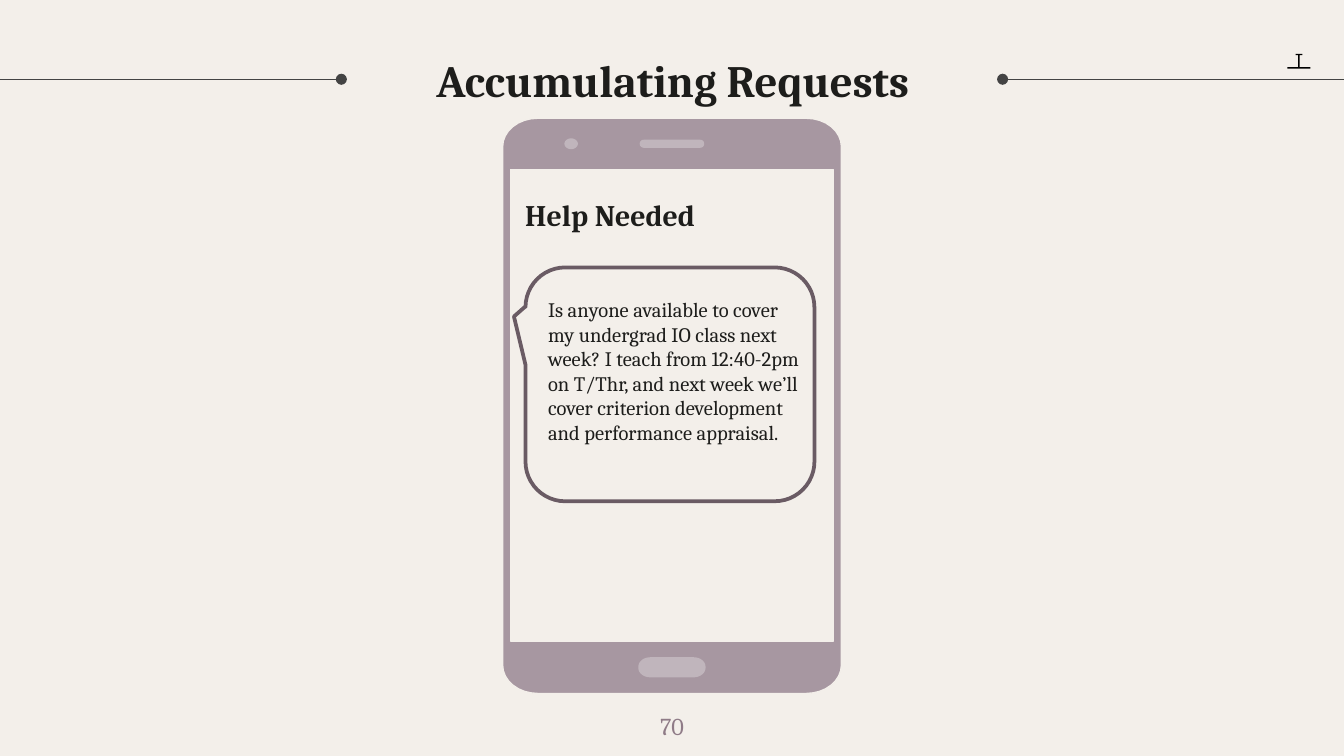
import math

from lxml import etree
from pptx import Presentation
from pptx.dml.color import RGBColor
from pptx.enum import shapes, text
from pptx.oxml import ns
from pptx.util import Inches, Pt

CREAM = RGBColor(0xF3, 0xEF, 0xEA)
INK = RGBColor(0x1D, 0x1D, 0x1B)
RULE_GREY = RGBColor(0x43, 0x43, 0x43)
MAUVE = RGBColor(0xA7, 0x97, 0xA1)
PALE_MAUVE = RGBColor(0xC0, 0xB5, 0xBC)
DARK_MAUVE = RGBColor(0x6A, 0x5B, 0x64)
NUMBER_MAUVE = RGBColor(0x8F, 0x7B, 0x87)
BLACK = RGBColor(0, 0, 0)
FONT = "Cambria"
QUOTE = (
    "Is anyone available to cover my undergrad IO class next week? "
    "I teach from 12:40-2pm on T/Thr, and next week we’ll cover "
    "criterion development and performance appraisal."
)


def place(item, left, top, width, height):
    item.left, item.top = Inches(left), Inches(top)
    item.width, item.height = Inches(width), Inches(height)


def write(item, words, size, color=INK, bold=False, align=text.PP_ALIGN.LEFT,
          anchor=text.MSO_ANCHOR.TOP, insets=(0.1, 0.1, 0.1, 0.1)):
    frame = item.text_frame
    frame.word_wrap = True
    frame.auto_size = text.MSO_AUTO_SIZE.NONE
    frame.vertical_anchor = anchor
    (frame.margin_left, frame.margin_top,
     frame.margin_right, frame.margin_bottom) = map(Inches, insets)
    paragraph = frame.paragraphs[0]
    paragraph.alignment = align
    run = paragraph.add_run()
    run.text = words
    run.font.name = FONT
    run.font.size = Pt(size)
    run.font.bold = bold
    run.font.color.rgb = color


def add_text(slide, box, words, size, **style):
    item = slide.shapes.add_textbox(*map(Inches, box))
    write(item, words, size, **style)


def add_dotted_rule(slide, start, end, y):
    rule = slide.shapes.add_connector(
        shapes.MSO_CONNECTOR.STRAIGHT,
        Inches(start), Inches(y), Inches(end), Inches(y))
    rule.line.color.rgb = RULE_GREY
    rule.line.width = Pt(0.75)
    etree.SubElement(rule.line._get_or_add_ln(), ns.qn("a:headEnd"), type="oval")
    etree.SubElement(rule._element.spPr, ns.qn("a:effectLst"))


def rounded_outline(left, top, width, height, rx, ry, steps=8):
    corners = [
        (left + width - rx, top + ry, -90),
        (left + width - rx, top + height - ry, 0),
        (left + rx, top + height - ry, 90),
        (left + rx, top + ry, 180),
    ]
    points = []
    for x, y, start in corners:
        for step in range(steps + 1):
            angle = math.radians(start + 90 * step / steps)
            points.append((x + rx * math.cos(angle), y + ry * math.sin(angle)))
    return points


def add_outline(slide, contours, fill, edge=None):
    contours = [[(Inches(x), Inches(y)) for x, y in contour] for contour in contours]
    builder = slide.shapes.build_freeform(*contours[0][0], scale=1.0)
    for index, contour in enumerate(contours):
        if index:
            builder.move_to(*contour[0])
        builder.add_line_segments(contour[1:], close=True)
    form = builder.convert_to_shape()
    form.shadow.inherit = False
    form.fill.solid()
    form.fill.fore_color.rgb = fill
    if edge is None:
        form.line.fill.background()
    else:
        form.line.color.rgb = edge
        form.line.width = Pt(0.75)


def add_phone(slide):
    body = rounded_outline(3.74, 0.88, 2.52, 4.28, 0.26, 0.21)
    screen = [(6.2, 1.26), (3.8, 1.26), (3.8, 4.77), (6.2, 4.77)]
    add_outline(slide, [body, screen], MAUVE, CREAM)
    home_button = (4.75, 4.89, 0.5, 0.15, 0.09, 0.07)
    camera = (4.2, 1.03, 0.1, 0.08, 0.05, 0.04)
    speaker = (4.76, 1.04, 0.48, 0.06, 0.03, 0.03)
    for part in (home_button, camera, speaker):
        add_outline(slide, [rounded_outline(*part)], PALE_MAUVE)


def add_speech_bubble(slide):
    bubble = slide.shapes.add_shape(
        shapes.MSO_SHAPE.ROUNDED_RECTANGULAR_CALLOUT,
        *map(Inches, (3.91, 1.99, 2.15, 1.74)))
    for index, value in enumerate((-0.54, -0.29, 0.17)):
        bubble.adjustments[index] = value
    bubble.shadow.inherit = False
    bubble.fill.background()
    bubble.line.color.rgb = DARK_MAUVE
    bubble.line.width = Pt(2)


def main():
    deck = Presentation()
    deck.slide_width = Inches(10)
    deck.slide_height = deck.slide_width * 9 // 16
    slide = deck.slides.add_slide(deck.slide_layouts[5])
    slide.background.fill.solid()
    slide.background.fill.fore_color.rgb = CREAM

    add_dotted_rule(slide, 2.54, -0.03, 0.59)
    add_dotted_rule(slide, 7.46, 10.01, 0.59)
    title = slide.shapes.title
    place(title, 2.54, 0.12, 4.93, 0.94)
    write(title, "Accumulating Requests", 24, bold=True,
          align=text.PP_ALIGN.CENTER, anchor=text.MSO_ANCHOR.MIDDLE)
    add_text(slide, (4.7, 5.19, 0.6, 0.43), "70", 13, color=NUMBER_MAUVE,
             align=text.PP_ALIGN.CENTER)

    corner_mark = [
        (9.66, 0.41), (9.64, 0.41), (9.64, 0.4), (9.69, 0.4), (9.69, 0.41),
        (9.67, 0.41), (9.67, 0.5), (9.75, 0.5), (9.75, 0.51), (9.58, 0.51),
        (9.58, 0.5), (9.66, 0.5),
    ]
    add_outline(slide, [corner_mark], BLACK)

    add_text(slide, (3.81, 1.11, 2.4, 1.34), "Help Needed", 16, bold=True,
             anchor=text.MSO_ANCHOR.MIDDLE, insets=(0.1, 0.1, 0.1, 0.47))
    add_phone(slide)
    add_speech_bubble(slide)
    add_text(slide, (3.98, 2.16, 2.1, 1.63), QUOTE, 11,
             insets=(0.1, 0.05, 0.1, 0.05))
    deck.save("out.pptx")


if __name__ == "__main__":
    main()
